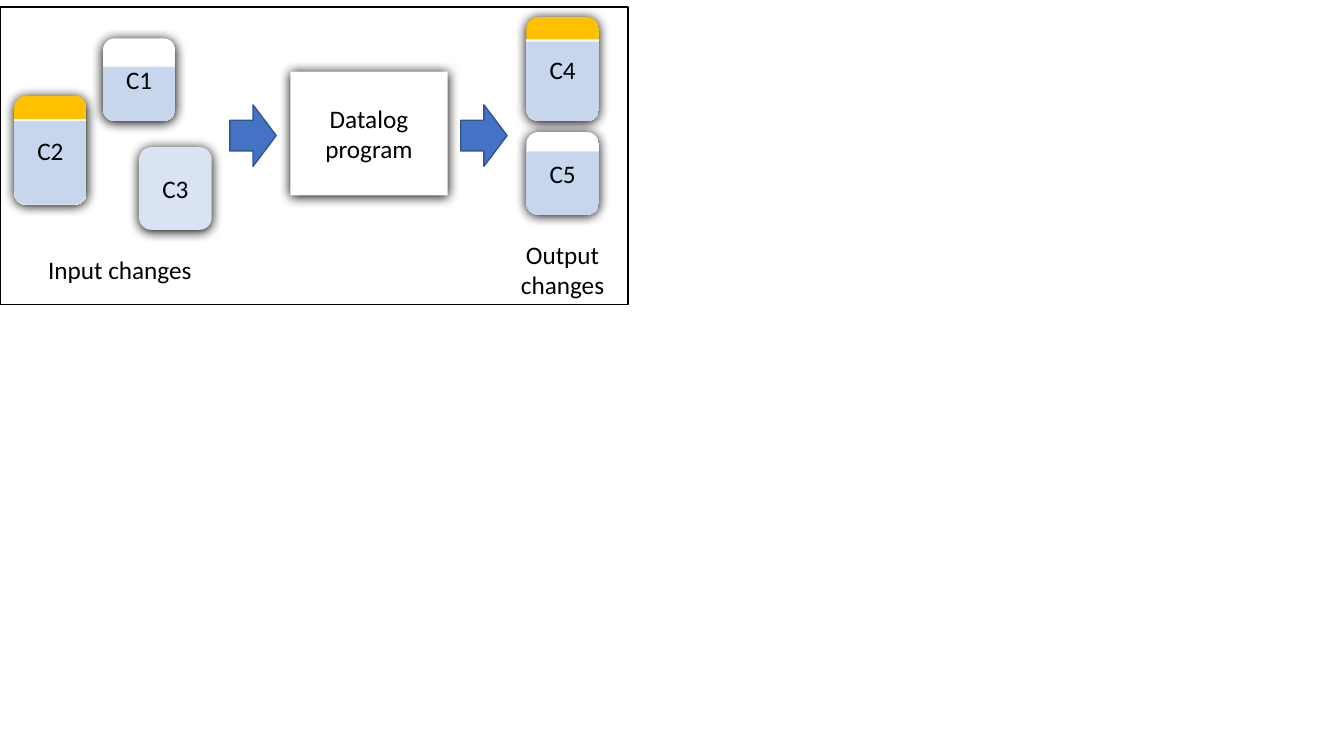
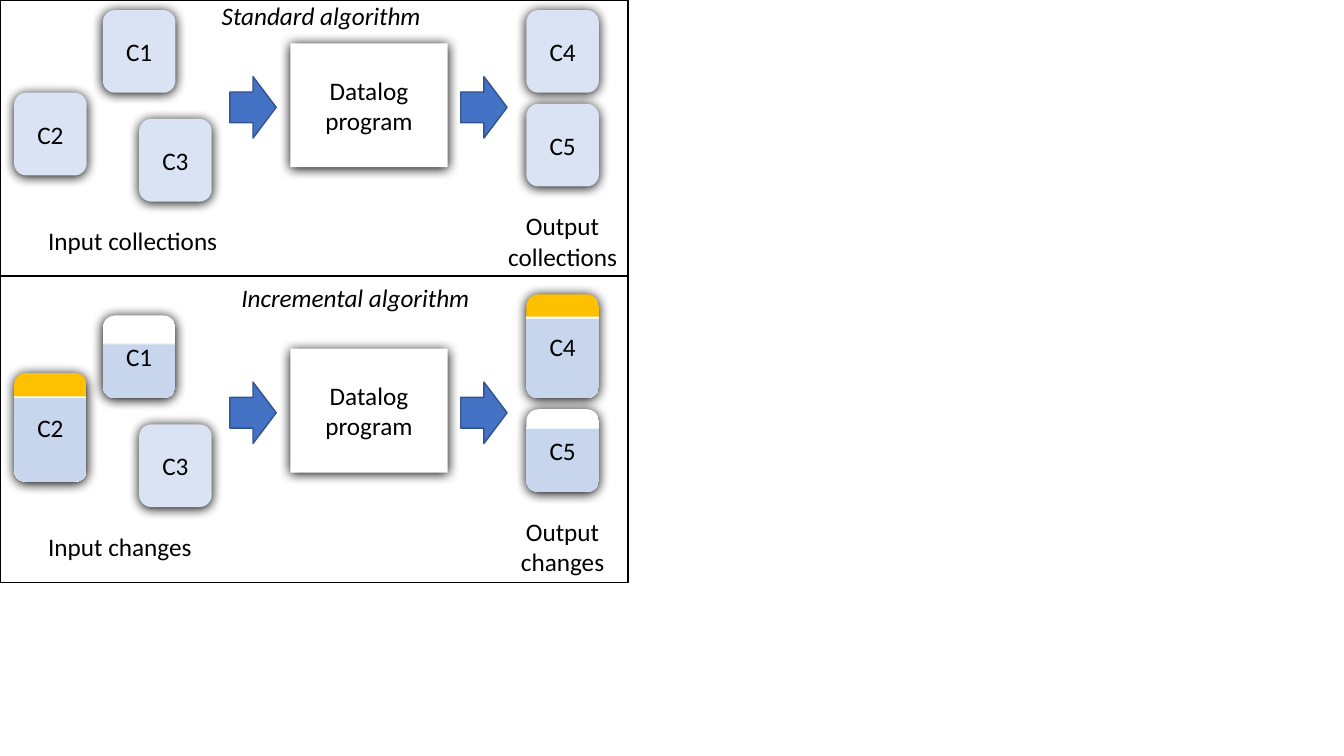
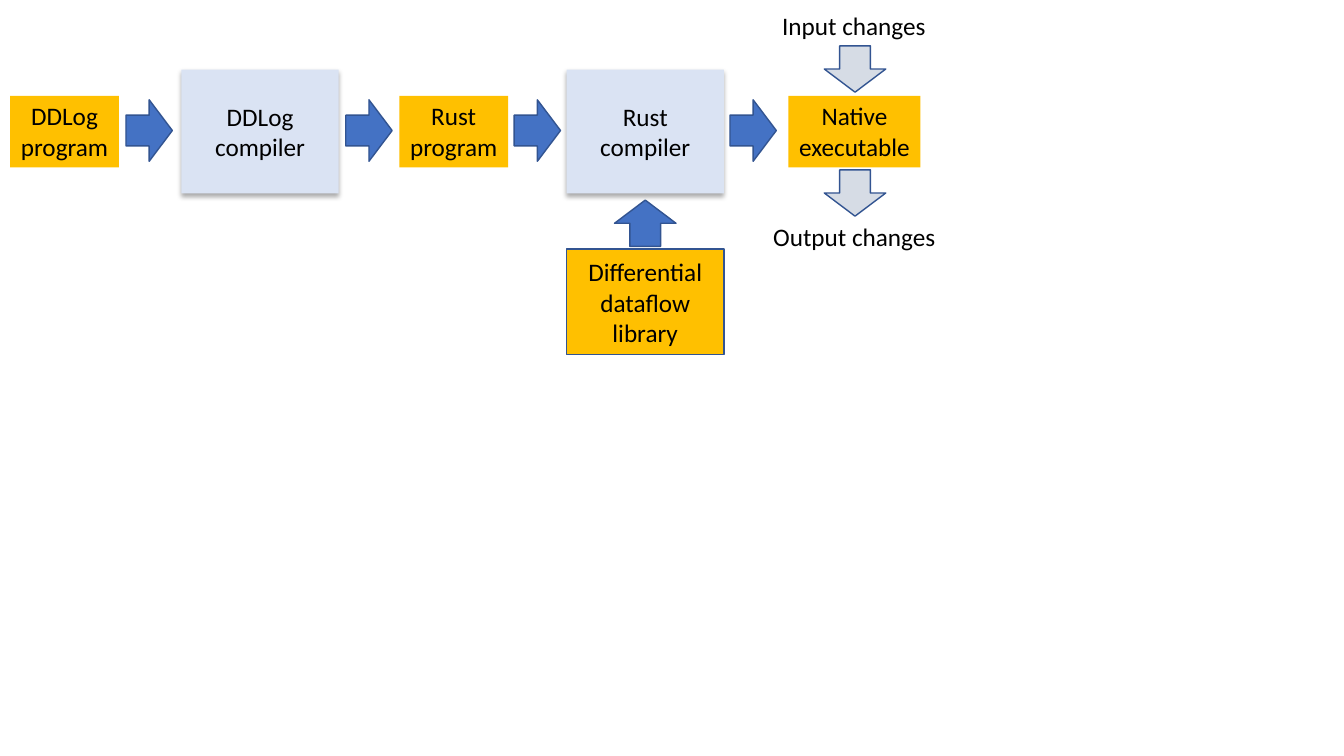
from dataclasses import dataclass
from typing import Optional, Union

import lxml.etree
import pptx
import pptx.dml.color
import pptx.enum.shapes
import pptx.enum.text
import pptx.oxml.ns
import pptx.shapes.autoshape
import pptx.shapes.shapetree
import pptx.text.text
import pptx.util

Inches = pptx.util.Inches
Pt = pptx.util.Pt
Kind = pptx.enum.shapes.MSO_SHAPE
Align = pptx.enum.text.PP_ALIGN
Anchor = pptx.enum.text.MSO_ANCHOR
AutoSize = pptx.enum.text.MSO_AUTO_SIZE
qn = pptx.oxml.ns.qn
Stops = tuple[tuple[int, str], ...]
Canvas = Union[pptx.shapes.shapetree.SlideShapes, pptx.shapes.shapetree.GroupShapes]

# Shared style
FONT, TEXT_SIZE = "Calibri", 18
BLACK, WHITE = "000000", "FFFFFF"
BLUE, OUTLINE = "4472C4", "325491"
PALE, SOFT, GREY, GOLD = "DAE3F3", "C7D5ED", "D6DCE5", "FFC000"
ARROW_WIDTH, ARROW_HEIGHT = 0.46, 0.61
CELL_WIDTH, CELL_HEIGHT = 0.72, 0.82
STAGE_WIDTH, STAGE_HEIGHT = 1.56, 1.23
PANEL_WIDTH = 6.23

# Gradients that show how much of a collection changed
REMOVED: Stops = ((33, WHITE), (36, SOFT))
REMOVED_LESS: Stops = ((21, WHITE), (22, WHITE), (23, WHITE), (24, SOFT))
ADDED_INPUT: Stops = ((21, GOLD), (22, WHITE), (23, WHITE), (23, SOFT))
ADDED_OUTPUT: Stops = ((21, GOLD), (22, WHITE), (23, WHITE), (24, SOFT))


@dataclass(frozen=True)
class Shadow:
    opacity: int
    blur: float
    distance: float


GLOW = Shadow(100, 8.5, 1)
LIFT = Shadow(32, 3.5, 2.2)


@dataclass(frozen=True)
class Box:
    left: float
    top: float
    width: float
    height: float
    text: str = ""
    fill: Union[str, Stops, None] = None
    line: Optional[str] = None
    shadow: Optional[Shadow] = None
    kind: Kind = Kind.RECTANGLE
    rotation: int = 0
    hugs_text: bool = False


@dataclass(frozen=True)
class Label:
    left: float
    top: float
    width: float
    text: str
    align: Align = Align.CENTER
    italic: bool = False


@dataclass(frozen=True)
class Cell:
    name: str
    left: float
    top: float
    height: float = CELL_HEIGHT
    fill: Union[str, Stops] = PALE


@dataclass(frozen=True)
class Panel:
    cells: tuple[Cell, ...]
    labels: tuple[Label, ...]


def color(value: str) -> pptx.dml.color.RGBColor:
    return pptx.dml.color.RGBColor.from_string(value)


def add_color(parent: lxml.etree._Element, value: str) -> lxml.etree._Element:
    return lxml.etree.SubElement(parent, qn("a:srgbClr"), val=value)


def write(frame: pptx.text.text.TextFrame, text: str, align: Align, italic: bool = False) -> None:
    """Fill a frame; a newline starts a paragraph, a vertical tab breaks a line."""
    frame.text = text
    for para in frame.paragraphs:
        para.alignment = align
        para.font.name = FONT
        para.font.size = Pt(TEXT_SIZE)
        para.font.color.rgb = color(BLACK)
        if italic:
            para.font.italic = True


def hug(frame: pptx.text.text.TextFrame) -> None:
    frame.word_wrap = False
    frame.auto_size = AutoSize.SHAPE_TO_FIT_TEXT
    frame.vertical_anchor = Anchor.TOP


def paint(shape: pptx.shapes.autoshape.Shape, fill: Union[str, Stops, None]) -> None:
    if fill is None:
        shape.fill.background()
    elif isinstance(fill, str):
        shape.fill.solid()
        shape.fill.fore_color.rgb = color(fill)
    else:
        shape.fill.gradient()
        shape.fill.gradient_angle = 270
        stop_list = shape.element.spPr.find(".//" + qn("a:gsLst"))
        for old_stop in list(stop_list):
            stop_list.remove(old_stop)
        for position, value in fill:
            stop = lxml.etree.SubElement(stop_list, qn("a:gs"), pos=str(position * 1000))
            add_color(stop, value)


def cast_shadow(shape: pptx.shapes.autoshape.Shape, shadow: Shadow) -> None:
    effects = shape.element.spPr.find(qn("a:effectLst"))
    outer = lxml.etree.SubElement(
        effects, qn("a:outerShdw"), blurRad=str(int(Pt(shadow.blur))),
        dist=str(int(Pt(shadow.distance))), dir="5400000", algn="ctr", rotWithShape="0")
    tint = add_color(outer, BLACK)
    lxml.etree.SubElement(tint, qn("a:alpha"), val=str(shadow.opacity * 1000))


def draw_box(canvas: Canvas, box: Box) -> None:
    shape = canvas.add_shape(box.kind, Inches(box.left), Inches(box.top),
                             Inches(box.width), Inches(box.height))
    shape.rotation = box.rotation
    shape.shadow.inherit = False
    paint(shape, box.fill)
    if box.line:
        shape.line.color.rgb = color(box.line)
        shape.line.width = Pt(1)
    else:
        shape.line.fill.background()
    if box.shadow:
        cast_shadow(shape, box.shadow)
    if box.text:
        write(shape.text_frame, box.text, Align.CENTER)
    if box.hugs_text:
        hug(shape.text_frame)


def draw_label(canvas: Canvas, label: Label, shift: float = 0) -> None:
    height = 0.71 if "\v" in label.text else 0.4
    shape = canvas.add_textbox(Inches(label.left), Inches(label.top + shift),
                               Inches(label.width), Inches(height))
    write(shape.text_frame, label.text, label.align, label.italic)
    hug(shape.text_frame)


def draw_arrow(canvas: Canvas, left: float, top: float, rotation: int = 0, fill: str = BLUE) -> None:
    draw_box(canvas, Box(left, top, ARROW_WIDTH, ARROW_HEIGHT, fill=fill, line=OUTLINE,
                         kind=Kind.RIGHT_ARROW, rotation=rotation))


def draw_stage(canvas: Canvas, left: float, top: float, text: str, fill: str, shadow: Shadow) -> None:
    draw_box(canvas, Box(left, top, STAGE_WIDTH, STAGE_HEIGHT, text, fill, shadow=shadow))


def draw_frame(canvas: Canvas, top: float, height: float) -> None:
    draw_box(canvas, Box(0, top, PANEL_WIDTH, height, line=BLACK))


def draw_divider(canvas: Canvas, top: float) -> None:
    divider = canvas.add_connector(pptx.enum.shapes.MSO_CONNECTOR.STRAIGHT,
                                   Inches(0), Inches(top), Inches(PANEL_WIDTH), Inches(top))
    divider.line.color.rgb = color(BLACK)
    divider.line.width = Pt(1.5)
    lxml.etree.SubElement(divider.element.spPr, qn("a:effectLst"))


def draw_panel(canvas: Canvas, panel: Panel, shift: float = 0) -> None:
    draw_stage(canvas, 2.88, 0.71 + shift, "Datalog program", WHITE, GLOW)
    for cell in panel.cells:
        draw_box(canvas, Box(cell.left, cell.top + shift, CELL_WIDTH, cell.height, cell.name,
                             cell.fill, shadow=GLOW, kind=Kind.ROUNDED_RECTANGLE))
    for left in (2.28, 4.57):
        draw_arrow(canvas, left, 1.04 + shift)
    for label in panel.labels:
        draw_label(canvas, label, shift)


# Panel contents
STANDARD = Panel(
    cells=(Cell("C1", 1.02, 0.38), Cell("C3", 1.38, 1.46), Cell("C2", 0.14, 1.2),
           Cell("C4", 5.22, 0.38), Cell("C5", 5.22, 1.31)),
    labels=(Label(0.38, 2.47, 1.9, "Input collections", Align.LEFT),
            Label(4.93, 2.32, 1.3, "Output\vcollections")))
INCREMENTAL = Panel(
    cells=(Cell("C1", 1.02, 0.38, fill=REMOVED), Cell("C3", 1.38, 1.46),
           Cell("C2", 0.14, 0.95, 1.08, ADDED_INPUT),
           Cell("C4", 5.22, 0.17, 1.03, ADDED_OUTPUT),
           Cell("C5", 5.22, 1.31, fill=REMOVED_LESS)),
    labels=(Label(0.38, 2.47, 1.64, "Input changes", Align.LEFT),
            Label(5.06, 2.32, 1.04, "Output\vchanges")))

deck = pptx.Presentation()
deck.slide_width, deck.slide_height = Inches(13.33), Inches(7.5)
blank_layout = deck.slide_layouts[6]

# Slide 1: incremental program
changes = deck.slides.add_slide(blank_layout).shapes.add_group_shape().shapes
draw_panel(changes, INCREMENTAL)
draw_frame(changes, 0.07, 2.95)

# Slide 2: standard and incremental algorithms
comparison = deck.slides.add_slide(blank_layout).shapes
draw_panel(comparison, STANDARD, -0.28)
draw_panel(comparison, INCREMENTAL, 2.75)
draw_divider(comparison, 2.74)
draw_label(comparison, Label(2.09, -0.05, 2.19, "Standard algorithm", italic=True))
draw_label(comparison, Label(2.28, 2.75, 2.49, "Incremental algorithm", italic=True))
draw_frame(comparison, 0, 5.78)

# Slide 3: compilation pipeline
pipeline = deck.slides.add_slide(blank_layout).shapes
for left, text in ((1.8, "DDLog compiler"), (5.62, "Rust compiler")):
    draw_stage(pipeline, left, 0.69, text, PALE, LIFT)
for left, width, text in ((0.1, 1.08, "DDLog\nprogram"), (3.96, 1.08, "Rust\nprogram"),
                          (7.82, 1.31, "Native\vexecutable")):
    draw_box(pipeline, Box(left, 0.95, width, 0.71, text, GOLD, hugs_text=True))
draw_box(pipeline, Box(5.62, 2.47, STAGE_WIDTH, 1.05, "Differential\vdataflow\nlibrary", GOLD, OUTLINE))
for left in (1.25, 3.43, 5.1, 7.24):
    draw_arrow(pipeline, left, 0.99)
draw_arrow(pipeline, 6.17, 1.91, 270)
for top in (0.38, 1.61):
    draw_arrow(pipeline, 8.25, top, 90, GREY)
draw_label(pipeline, Label(7.66, 0.05, 1.64, "Input changes", Align.LEFT))
draw_label(pipeline, Label(7.57, 2.15, 1.83, "Output changes", Align.LEFT))

deck.save("out.pptx")
